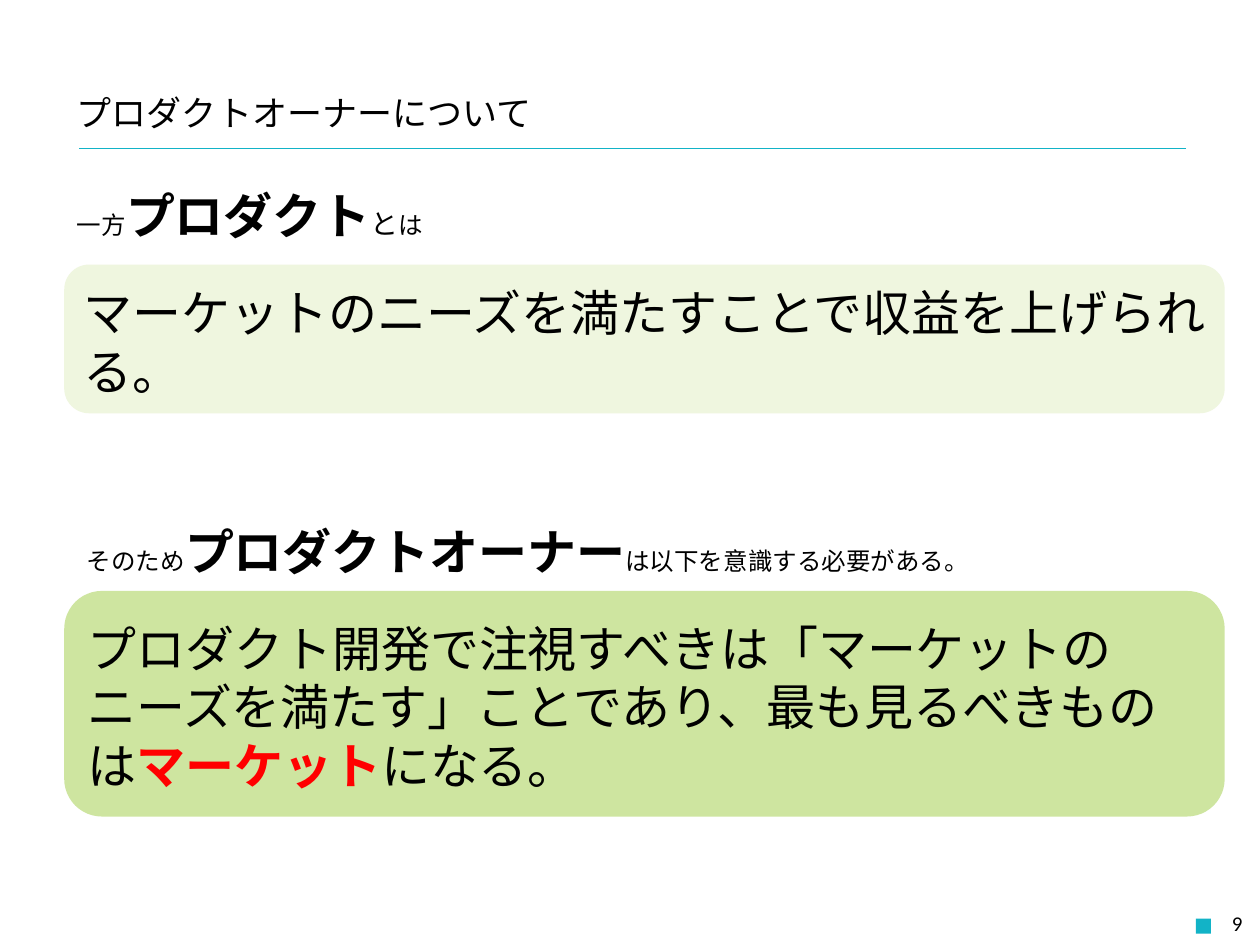
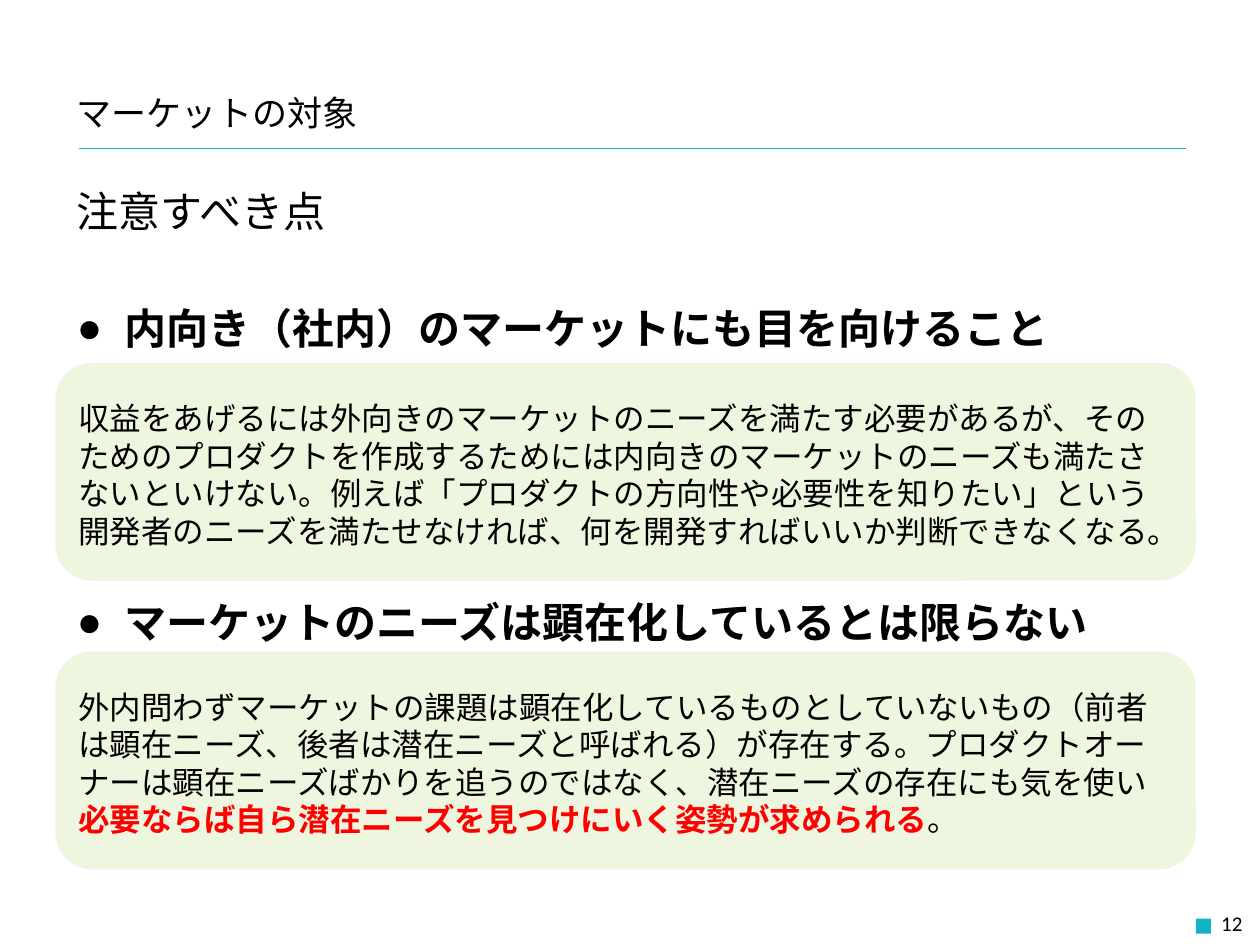
"""Build two slides about product owners and their market."""
from lxml.etree import SubElement
from pptx import Presentation
from pptx.dml.color import RGBColor
from pptx.enum.shapes import MSO_CONNECTOR, MSO_SHAPE
from pptx.enum.text import MSO_ANCHOR, MSO_AUTO_SIZE, PP_ALIGN
from pptx.oxml.ns import qn
from pptx.util import Inches, Pt

COLORS = {"accent": "12B3C7", "pale": "EFF6DF", "green": "CEE5A0", "text": "000000", "alert": "FF0000"}
FONT, NUMBER_FONT = "Noto Sans CJK JP", "Calibri"


def write(paragraph, runs, line=None, before=0, bullet=None, font=FONT, align=PP_ALIGN.LEFT):
    """Fill a paragraph with (text, size, bold, colour) runs."""
    paragraph.alignment = align
    paragraph.space_before = Pt(before)
    if line:
        paragraph.line_spacing = Pt(line)
    properties = paragraph._p.get_or_add_pPr()
    indent = Inches(0.38) if bullet else 0
    properties.set("marL", str(indent))
    properties.set("indent", str(-indent))
    if bullet:
        SubElement(properties, qn("a:buChar")).set("char", bullet)
    else:
        SubElement(properties, qn("a:buNone"))
    for text, size, bold, color in runs:
        run = paragraph.add_run()
        run.text = text
        run.font.size = Pt(size)
        run.font.bold = bold
        run.font.color.rgb = RGBColor.from_string(COLORS[color])
        run.font.name = font
        SubElement(run.font._element, qn("a:ea")).set("typeface", font)


def prepare(shape, box, anchor=MSO_ANCHOR.TOP):
    """Place a text shape and return its wrapped text frame."""
    shape.left, shape.top, shape.width, shape.height = map(Inches, box)
    frame = shape.text_frame
    frame.word_wrap = True
    frame.auto_size = MSO_AUTO_SIZE.NONE
    frame.vertical_anchor = anchor
    return frame


SLIDES = [
    {
        "title": "プロダクトオーナーについて",
        "number": "9",
        "body": (0.51, 1.39, 9.21, 0.63),
        "paragraphs": [
            ([("一方", 14, False, "text"), ("プロダクト", 28, True, "text"),
              ("と", 16, False, "text"), ("は", 14, False, "text")], 36, 0, None),
        ],
        "notes": [
            ((0.59, 4.06, 9.21, 0.63),
             [("そのため", 14, False, "text"), ("プロダクトオーナー", 28, True, "text"),
              ("は以下を意識する必要がある。", 14, False, "text")]),
        ],
        "panels": [
            ((0.51, 2.1, 9.21, 1.18), "pale", 33.4, 0.03,
             [("マーケットのニーズを満たすことで収益を上げられる。", 28, False, "text")]),
            ((0.51, 4.69, 9.21, 1.79), "green", 33.4, 0.1,
             [("プロダクト開発で注視すべきは「マーケットのニーズを満たす」ことであり、最も見るべきものは",
               28, False, "text"),
              ("マーケット", 28, True, "alert"), ("になる。", 28, False, "text")]),
        ],
    },
    {
        "title": "マーケットの対象",
        "number": "12",
        "body": (0.51, 1.39, 8.82, 5.75),
        "paragraphs": [
            ([("注意すべき点", 24, False, "text")], 31, 0, None),
            ([("内向き（社内）のマーケットにも目を向けること", 24, True, "text")], 31, 36, "●"),
            ([("マーケットのニーズは顕在化しているとは限らない", 24, True, "text")], 31, 137, "●"),
        ],
        "notes": [],
        "panels": [
            ((0.44, 2.88, 9.05, 1.73), "pale", 21.5, 0.1,
             [("収益をあげるには外向きのマーケットのニーズを満たす必要があるが、そのためのプロダクトを"
               "作成するためには内向きのマーケットのニーズも満たさないといけない。例えば「プロダクトの"
               "方向性や必要性を知りたい」という開発者のニーズを満たせなければ、何を開発すればいいか"
               "判断できなくなる。", 18, False, "text")]),
            ((0.44, 5.17, 9.05, 1.73), "pale", 21.5, 0.1,
             [("外内問わずマーケットの課題は顕在化しているものとしていないもの（前者は顕在ニーズ、後者は"
               "潜在ニーズと呼ばれる）が存在する。プロダクトオーナーは顕在ニーズばかりを追うのではなく、"
               "潜在ニーズの存在にも気を使い", 18, False, "text"),
              ("必要ならば自ら潜在ニーズを見つけにいく姿勢が求められる", 18, True, "alert"),
              ("。", 18, False, "text")]),
        ],
    },
]

presentation = Presentation()
presentation.slide_width, presentation.slide_height = Inches(10), Inches(7.5)

for content in SLIDES:
    slide = presentation.slides.add_slide(presentation.slide_layouts[1])
    shapes = slide.shapes

    frame = prepare(shapes.title, (0.51, 0.72, 6.85, 0.35), MSO_ANCHOR.MIDDLE)
    write(frame.paragraphs[0], [(content["title"], 20, False, "text")])

    rule = shapes.add_connector(
        MSO_CONNECTOR.STRAIGHT, Inches(0.63), Inches(1.18), Inches(9.41), Inches(1.18))
    rule.line.color.rgb = RGBColor.from_string(COLORS["accent"])
    rule.line.width = Pt(0.25)
    SubElement(rule._element.spPr, qn("a:effectLst"))

    marker = shapes.add_shape(
        MSO_SHAPE.RECTANGLE, Inches(9.49), Inches(7.29), Inches(0.12), Inches(0.12))
    marker.shadow.inherit = False
    marker.fill.solid()
    marker.fill.fore_color.rgb = RGBColor.from_string(COLORS["accent"])
    marker.line.fill.background()

    frame = prepare(slide.placeholders[1], content["body"])
    for index, (runs, line, before, bullet) in enumerate(content["paragraphs"]):
        paragraph = frame.add_paragraph() if index else frame.paragraphs[0]
        write(paragraph, runs, line, before, bullet)

    for box, runs in content["notes"]:
        frame = prepare(shapes.add_textbox(0, 0, 0, 0), box)
        write(frame.paragraphs[0], runs, 36)

    for box, fill, line, right_inset, runs in content["panels"]:
        panel = shapes.add_shape(MSO_SHAPE.ROUNDED_RECTANGLE, 0, 0, 0, 0)
        panel.shadow.inherit = False
        panel.fill.solid()
        panel.fill.fore_color.rgb = RGBColor.from_string(COLORS[fill])
        panel.line.fill.background()
        frame = prepare(panel, box, MSO_ANCHOR.MIDDLE)
        frame.margin_top = Inches(0.09)
        frame.margin_right = Inches(right_inset)
        write(frame.paragraphs[0], runs, line)

    frame = prepare(shapes.add_textbox(0, 0, 0, 0), (7.63, 7.13, 2.33, 0.4), MSO_ANCHOR.MIDDLE)
    write(frame.paragraphs[0], [(content["number"], 12, False, "text")],
          font=NUMBER_FONT, align=PP_ALIGN.RIGHT)

presentation.save("out.pptx")
